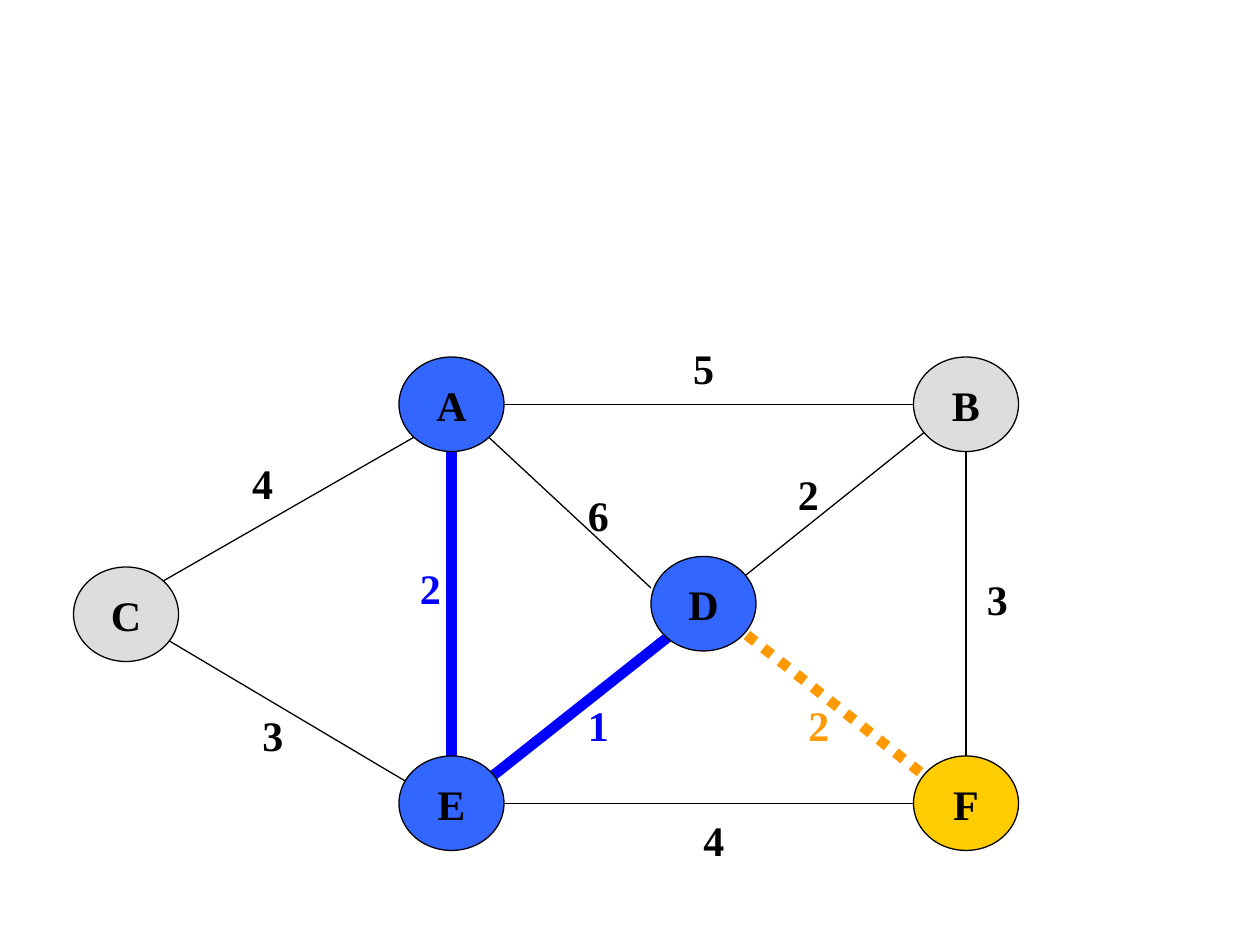
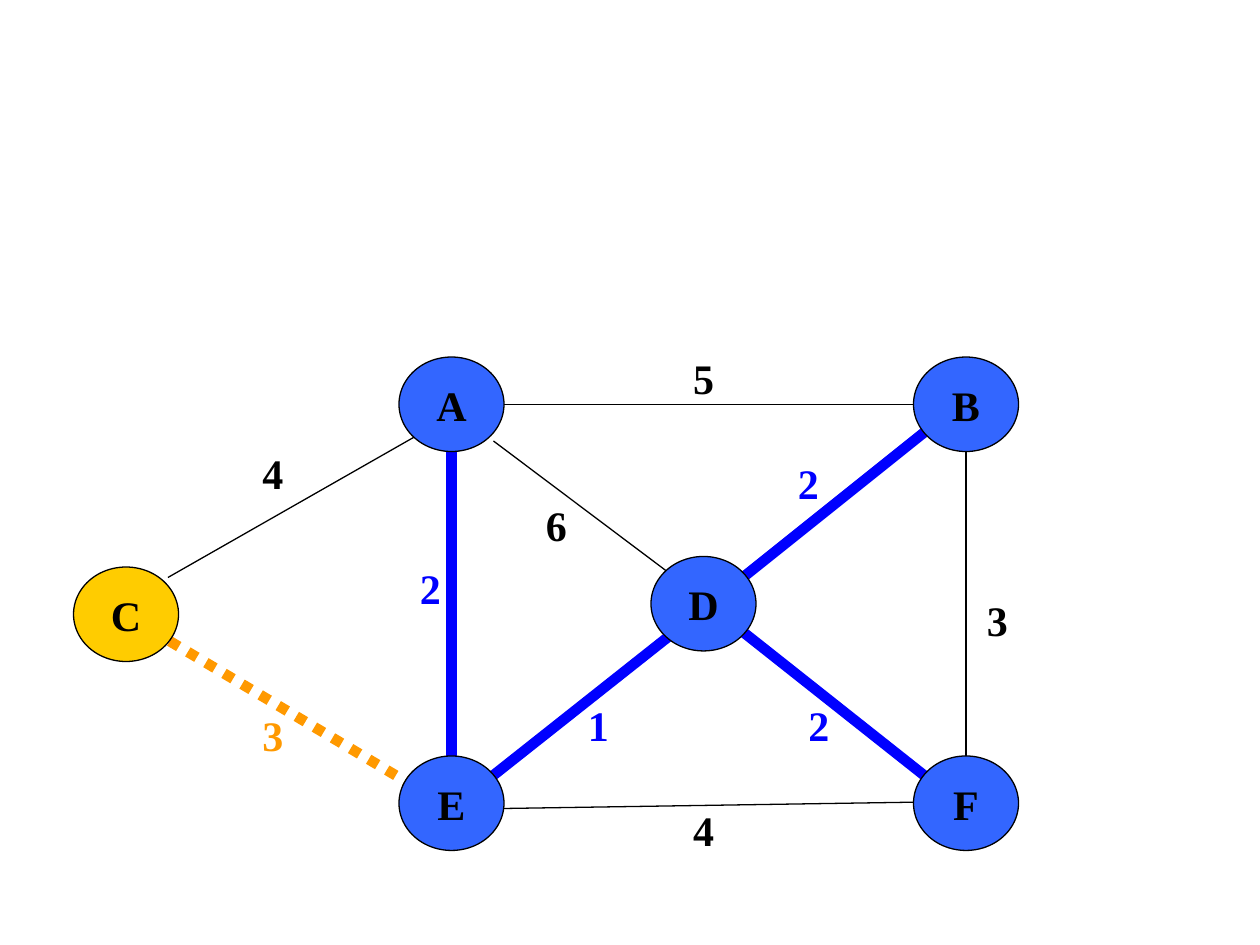
from pptx import Presentation
from pptx.dml.color import RGBColor as RGB
from pptx.enum.dml import MSO_LINE as Dash
from pptx.enum.shapes import MSO_CONNECTOR as Link, MSO_SHAPE as Form
from pptx.enum.text import MSO_ANCHOR as Anchor, MSO_AUTO_SIZE as Fit, PP_ALIGN as Align
from pptx.util import Inches, Pt
from lxml import etree

NS = "http://schemas.openxmlformats.org/drawingml/2006/main"
BLACK = "000000"

# Colours by state
FILL = {"todo": "DDDDDD", "done": "3366FF", "next": "FFCC00"}
LINE = {"todo": BLACK, "done": "0000FF", "next": "FF9900"}

deck = Presentation()
deck.slide_width, deck.slide_height = Inches(10), Inches(7.5)

# Grid of 120 columns by 90 rows
CELL = deck.slide_width // 120
WIDE, HIGH, TAG = 10, 9, 6

# Left column and top row of each node
NODES = {"C": (7, 54), "F": (87, 72), "E": (38, 72),
         "A": (38, 34), "B": (87, 34), "D": (62, 53)}

# Each edge: weight, start, end, corner of its label
EDGES = {
    "BF": (3, (92, 77), (92, 38), (92, 54)),
    "AE": (2, (43, 38), (43, 77), (38, 53)),
    "DF": (2, (68, 58), (92, 77), (75, 66)),
    "DE": (1, (67, 58), (43, 77), (54, 66)),
    "DB": (2, (67, 58), (92, 38), (74, 44)),
    "CE": (3, (11, 58), (43, 77), (23, 67)),
    "EF": (4, (48, 76.5), (87, 76.5), (65, 77)),
    "AC": (4, (39.5, 41.6), (15.6, 55.3), (22, 43)),
    "AB": (5, (48, 38.5), (87, 38.5), (64, 32)),
    "AD": (6, (46.5, 41.6), (62, 56), (54, 46)),
}

# Edges that lie a little differently in the last step
MOVED = {
    "BF": (3, (92, 43), (92, 72), (92, 56)),
    "DB": (2, (67, 58), (92, 38), (74, 43)),
    "EF": (4, (48, 77), (87, 76.4), (64, 76)),
    "AC": (4, (39.5, 41.6), (16, 55), (23, 42)),
    "AB": (5, (48, 38.5), (87, 38.5), (64, 33)),
    "AD": (6, (47, 42), (63.5, 54.4), (50, 47)),
}

# Each step: edges, nodes in the tree, edge and node to add
STEPS = [
    (EDGES, ["AE", "DE"], "AED", "DF", "F"),
    (EDGES | MOVED, ["AE", "DE", "DF", "DB"], "AEDFB", "CE", "C"),
]


def grid(*cells):
    return [round(n * CELL) for n in cells]


def write(frame, text, tint):
    para = frame.paragraphs[0]
    para.alignment = Align.CENTER
    run = para.add_run()
    run.text = text
    font = run.font
    font.name, font.size, font.bold = "Times New Roman", Pt(24), True
    font.color.rgb = RGB.from_string(tint)


for edges, tree, known, link, node in STEPS:
    slide = deck.slides.add_slide(deck.slide_layouts[6])
    state = {name: "done" for name in [*tree, *known]}
    state |= {link: "next", node: "next"}

    # Edges, under the nodes
    for name, (cost, start, end, spot) in edges.items():
        mode = state.get(name, "todo")
        edge = slide.shapes.add_connector(Link.STRAIGHT, *grid(*start, *end))
        edge.line.color.rgb = RGB.from_string(LINE[mode])
        edge.line.width = Pt(0.75 if mode == "todo" else 6)
        if mode == "next":
            edge.line.dash_style = Dash.ROUND_DOT
        etree.SubElement(edge._element.spPr, f"{{{NS}}}effectLst")

    # Nodes
    for name, spot in NODES.items():
        oval = slide.shapes.add_shape(Form.OVAL, *grid(*spot, WIDE, HIGH))
        oval.shadow.inherit = False
        oval.fill.solid()
        oval.fill.fore_color.rgb = RGB.from_string(FILL[state.get(name, "todo")])
        oval.line.color.rgb = RGB.from_string(BLACK)
        oval.line.width = Pt(0.75)
        oval.text_frame.word_wrap = False
        oval.text_frame.vertical_anchor = Anchor.MIDDLE
        write(oval.text_frame, name, BLACK)

    # Weights
    for name, (cost, start, end, spot) in edges.items():
        frame = slide.shapes.add_textbox(*grid(*spot, TAG, TAG)).text_frame
        frame.word_wrap = True
        frame.auto_size = Fit.SHAPE_TO_FIT_TEXT
        write(frame, str(cost), LINE[state.get(name, "todo")])

deck.save("out.pptx")
